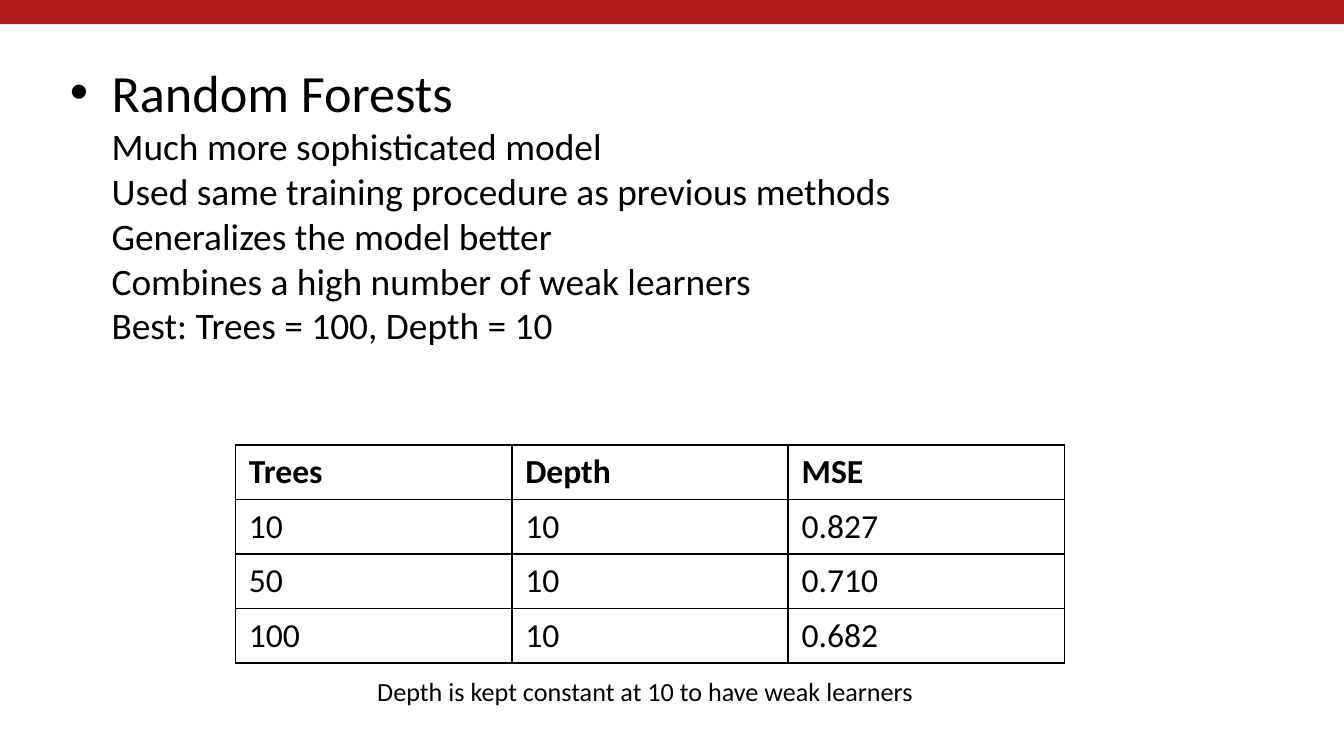
"""Build the Random Forests slide with its table of errors."""
from lxml.etree import SubElement
from pptx import Presentation
from pptx.dml.color import RGBColor
from pptx.enum.shapes import MSO_SHAPE
from pptx.enum.text import MSO_ANCHOR
from pptx.oxml.ns import qn
from pptx.util import Cm, Pt


def color(hex_code):
    return RGBColor.from_string(hex_code)


def write(paragraph, text, size=18, bold=False, ink="000000", font="Calibri"):
    for index, line in enumerate(text.split("\n")):
        if index:
            paragraph.add_line_break()
        run = paragraph.add_run()
        run.text = line
        run.font.name = font
        run.font.size = Pt(size)
        run.font.bold = bold
        run.font.color.rgb = color(ink)


deck = Presentation()
deck.slide_width, deck.slide_height = Cm(25.4), Cm(14.29)
slide = deck.slides.add_slide(deck.slide_layouts[6])
shapes = slide.shapes

banner = shapes.add_shape(MSO_SHAPE.RECTANGLE, 0, 0, deck.slide_width, Cm(0.46))
banner.shadow.inherit = False
banner.fill.solid()
banner.fill.fore_color.rgb = color("B31B1B")
banner.line.fill.background()

summary = shapes.add_textbox(Cm(1.07), Cm(1.02), Cm(23.3), Cm(7.62)).text_frame
summary.word_wrap = True
points = summary.paragraphs[0]
write(points, "Random Forests\n", size=28)
write(points, "Much more sophisticated model\n"
              "Used same training procedure as previous methods\n"
              "Generalizes the model better\n"
              "Combines a high number of weak learners\n"
              "Best: Trees = 100, Depth = 10", size=20)
indent = points._p.get_or_add_pPr()
indent.set("marL", str(Cm(0.79)))
indent.set("indent", str(-Cm(0.79)))
SubElement(indent, qn("a:buFont"), typeface="Arial")
SubElement(indent, qn("a:buChar"), char="•")

results = [
    ("Trees", "Depth", "MSE"),
    ("10", "10", "0.827"),
    ("50", "10", "0.710"),
    ("100", "10", "0.682"),
]
table = shapes.add_table(len(results), len(results[0]),
                         Cm(4.45), Cm(8.41), Cm(15.67), Cm(4.12)).table
for row, values in enumerate(results):
    for column, value in enumerate(values):
        cell = table.cell(row, column)
        cell.vertical_anchor = MSO_ANCHOR.TOP
        write(cell.text_frame.paragraphs[0], value, bold=row == 0)
        borders = cell._tc.get_or_add_tcPr()
        for side in ("lnL", "lnR", "lnT", "lnB"):
            border = SubElement(borders, qn(f"a:{side}"), w=str(Pt(1)))
            ink = SubElement(border, qn("a:solidFill"))
            SubElement(ink, qn("a:srgbClr"), val="000000")
        cell.fill.background()

caption = shapes.add_textbox(Cm(6.88), Cm(12.65), Cm(10.8), Cm(0.86)).text_frame
caption.word_wrap = True
write(caption.paragraphs[0], "Depth is kept constant at 10 to have weak learners", size=14)

deck.save("out.pptx")
